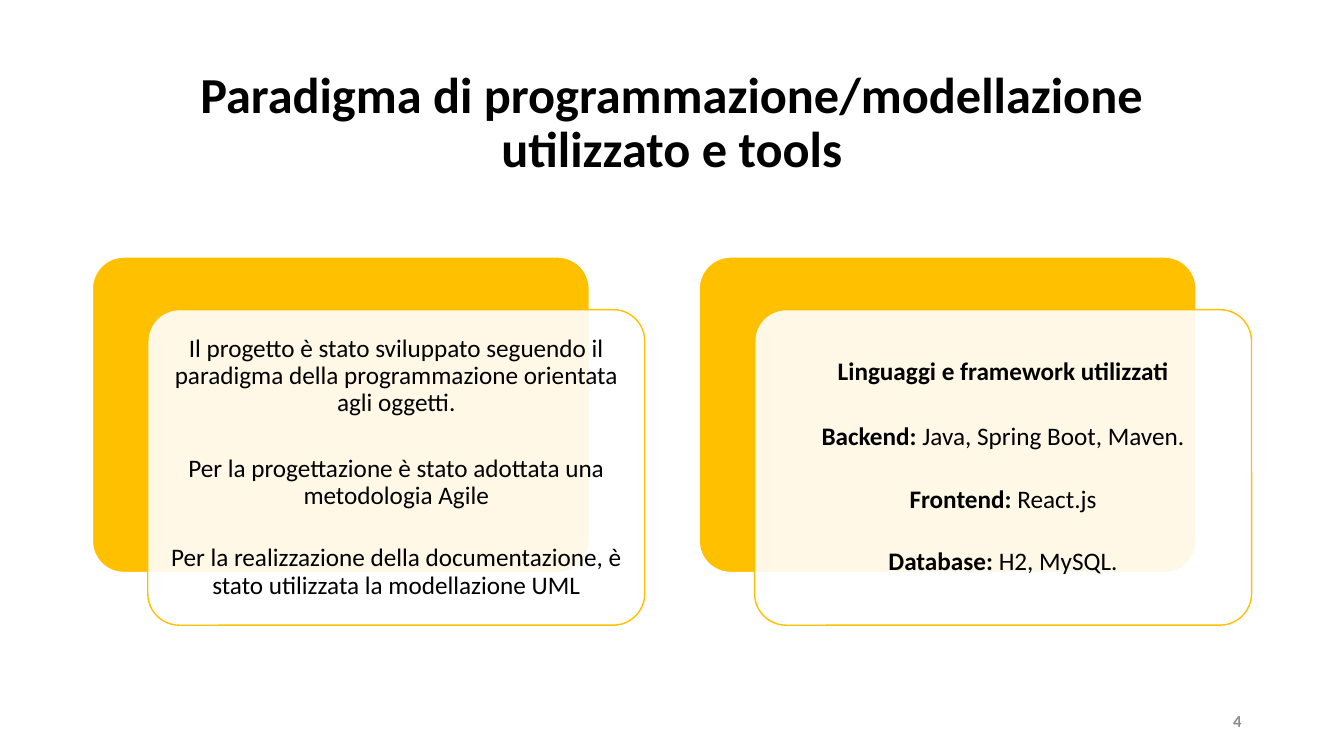
from lxml.etree import SubElement
from pptx import Presentation
from pptx.dml.color import RGBColor
from pptx.enum.shapes import MSO_SHAPE
from pptx.enum.text import MSO_ANCHOR, PP_ALIGN
from pptx.oxml.ns import qn
from pptx.util import Pt

FONT = "Calibri"
BLACK, WHITE, AMBER, GREY = "000000", "FFFFFF", "FFC000", "8C8C8C"
MARGIN, CONTENT_WIDTH = 66, 828
PANEL_WIDTH, PANEL_HEIGHT = 394.6, 263
CARD_WIDTH, CARD_HEIGHT = 355, 225.4

METHOD = [
    [("Il progetto è stato sviluppato seguendo il paradigma della programmazione orientata agli oggetti.", False)],
    [("Per la progettazione è stato adottata una metodologia Agile", False)],
    [("Per la realizzazione della documentazione, è stato utilizzata la modellazione UML", False)],
]
TOOLS = [
    [("Linguaggi e framework utilizzati", True)],
    [("Backend: ", True), ("Java, Spring Boot, Maven.", False)],
    [("Frontend: ", True), ("React.js", False)],
    [("Database:", True), (" H2, MySQL.", False)],
]


def color(value):
    return RGBColor.from_string(value)


def style(paragraph, size, value, alignment):
    paragraph.alignment = alignment
    paragraph.font.name = FONT
    paragraph.font.size = Pt(size)
    paragraph.font.color.rgb = color(value)


def add_title(slide, left, top, width, height):
    title = slide.shapes.title
    title.left, title.top, title.width, title.height = map(Pt, (left, top, width, height))
    title.text_frame.text = "Paradigma di programmazione/modellazione utilizzato e tools"
    title.text_frame.vertical_anchor = MSO_ANCHOR.MIDDLE
    paragraph = title.text_frame.paragraphs[0]
    style(paragraph, 36, BLACK, PP_ALIGN.CENTER)
    paragraph.font.bold = True
    paragraph.line_spacing = 0.9


def add_card(slide, left, top, fill, line):
    card = slide.shapes.add_shape(
        MSO_SHAPE.ROUNDED_RECTANGLE, Pt(left), Pt(top), Pt(CARD_WIDTH), Pt(CARD_HEIGHT)
    )
    card.adjustments[0] = 0.1
    card.shadow.inherit = False
    card.fill.solid()
    card.fill.fore_color.rgb = color(fill)
    card.line.color.rgb = color(line)
    card.line.width = Pt(1)
    return card


def add_panel(slide, left, top, width, height, content):
    add_card(slide, left, top, AMBER, WHITE)
    card = add_card(slide, left + width - CARD_WIDTH, top + height - CARD_HEIGHT, WHITE, AMBER)
    fill_color = card.fill._xPr.find(qn("a:solidFill"))[0]
    SubElement(fill_color, qn("a:alpha"), val="90000")

    frame = card.text_frame
    frame.word_wrap = True
    frame.vertical_anchor = MSO_ANCHOR.MIDDLE
    frame.margin_left = frame.margin_right = frame.margin_top = frame.margin_bottom = Pt(5)
    for index, parts in enumerate(content):
        paragraph = frame.paragraphs[0] if index == 0 else frame.add_paragraph()
        style(paragraph, 18, BLACK, PP_ALIGN.CENTER)
        paragraph.line_spacing = 0.9
        if index:
            paragraph.space_before = Pt(27.4 if index == 1 else 25.2)
        for text, bold in parts:
            run = paragraph.add_run()
            run.text = text
            run.font.bold = bold


def add_page_number(slide, left, top, width, height):
    box = slide.shapes.add_textbox(Pt(left), Pt(top), Pt(width), Pt(height))
    box.text_frame.word_wrap = True
    box.text_frame.vertical_anchor = MSO_ANCHOR.MIDDLE
    box.text_frame.text = "4"
    paragraph = box.text_frame.paragraphs[0]
    style(paragraph, 12, GREY, PP_ALIGN.RIGHT)
    paragraph.font.bold = True


def main():
    presentation = Presentation()
    presentation.slide_width, presentation.slide_height = Pt(960), Pt(540)
    slide = presentation.slides.add_slide(presentation.slide_layouts[5])
    add_title(slide, MARGIN, 44, CONTENT_WIDTH, 89.3)
    add_page_number(slide, 678, 500.5, 216, 28.8)
    for index, content in enumerate((METHOD, TOOLS)):
        left = MARGIN + index * (CONTENT_WIDTH - PANEL_WIDTH)
        add_panel(slide, left, 183.6, PANEL_WIDTH, PANEL_HEIGHT, content)
    presentation.save("out.pptx")


if __name__ == "__main__":
    main()
